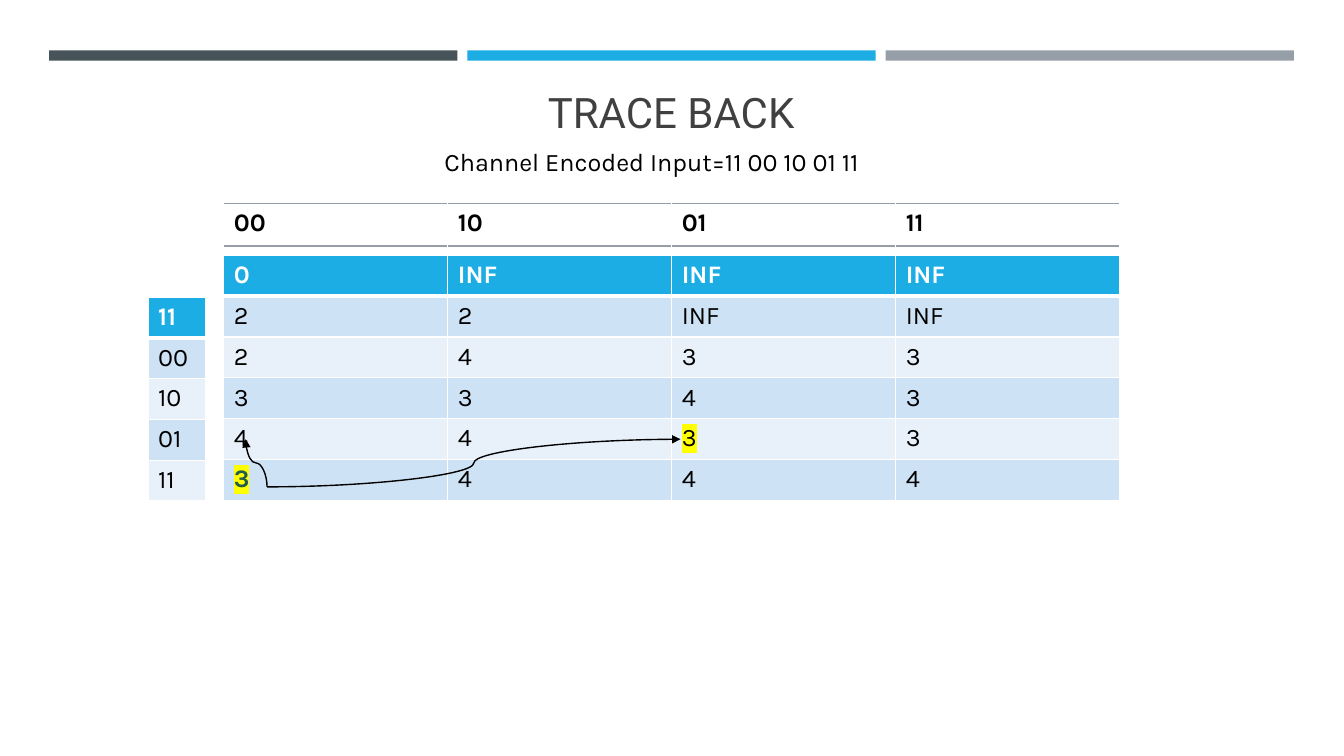
from dataclasses import dataclass

from pptx import Presentation
from pptx import util as u
from pptx.dml.color import RGBColor
from pptx.enum import shapes, text
from pptx.oxml import ns, xmlchemy


@dataclass(frozen=True)
class Theme:
    slate: str = "465359"
    blue: str = "1CADE4"
    gray: str = "969FA7"
    title: str = "404040"
    ink: str = "000000"
    white: str = "FFFFFF"
    bands: tuple = ("E8F1FA", "CDE3F5")
    green: str = "215D4C"
    highlight: str = "FFFF00"
    heading_font: str = "Roboto"
    body_font: str = "Karla"
    heading_size: int = 30
    body_size: int = 18


@dataclass(frozen=True)
class Box:
    left: float
    top: float
    width: float
    height: float

    def lengths(self):
        return [u.Cm(n) for n in (self.left, self.top, self.width, self.height)]


THEME = Theme()
STATES = ["00", "10", "01", "11"]
INPUTS = ["11", "00", "10", "01", "11"]
METRICS = [
    ["0", "INF", "INF", "INF"],
    ["2", "2", "INF", "INF"],
    ["2", "4", "3", "3"],
    ["3", "3", "4", "3"],
    ["4", "4", "3", "3"],
    ["3", "4", "4", "4"],
]


def xml_element(tag, **attributes):
    element = xmlchemy.OxmlElement(tag)
    for name, value in attributes.items():
        element.set(name, str(value))
    return element


def add_run(paragraph, words, color, size=THEME.body_size, font=THEME.body_font,
            bold=False, highlight=None):
    run = paragraph.add_run()
    run.text = words
    run.font.size = u.Pt(size)
    run.font.bold = bold
    run.font.color.rgb = RGBColor.from_string(color)
    run.font.name = font
    if highlight:
        marker = xml_element("a:highlight")
        marker.append(xml_element("a:srgbClr", val=highlight))
        run.font.fill
        run._r.rPr.find(ns.qn("a:solidFill")).addnext(marker)


def set_borders(cell, color, **widths):
    properties = cell._tc.get_or_add_tcPr()
    sides = [side for side in "LRTB" if side in widths]
    for index, side in enumerate(sides):
        line = xml_element(f"a:ln{side}", w=u.Pt(widths[side]))
        fill = xml_element("a:solidFill")
        fill.append(xml_element("a:srgbClr", val=color))
        line.append(fill)
        properties.insert(index, line)


def add_grid(slide, box, row_count, column_count):
    table = slide.shapes.add_table(row_count, column_count, *box.lengths()).table
    table.first_row = False
    table.horz_banding = False
    for row in table.rows:
        row.height = u.Cm(box.height / row_count)
    for column in table.columns:
        column.width = u.Cm(box.width / column_count)
    return table


def draw_bars(slide, box):
    gap = 0.25
    width = (box.width - 2 * gap) / 3
    for index, color in enumerate((THEME.slate, THEME.blue, THEME.gray)):
        place = Box(box.left + index * (width + gap), box.top, width, box.height)
        bar = slide.shapes.add_shape(shapes.MSO_SHAPE.RECTANGLE, *place.lengths())
        bar.shadow.inherit = False
        bar.fill.solid()
        bar.fill.fore_color.rgb = RGBColor.from_string(color)
        bar.line.fill.background()


def draw_title(slide, box):
    frame = slide.shapes.add_textbox(*box.lengths()).text_frame
    frame.word_wrap = True
    frame.vertical_anchor = text.MSO_ANCHOR.MIDDLE
    paragraph = frame.paragraphs[0]
    paragraph.alignment = text.PP_ALIGN.CENTER
    add_run(paragraph, "TRACE BACK", THEME.title, THEME.heading_size, THEME.heading_font)


def draw_caption(slide, box):
    frame = slide.shapes.add_textbox(*box.lengths()).text_frame
    frame.word_wrap = False
    frame.auto_size = text.MSO_AUTO_SIZE.SHAPE_TO_FIT_TEXT
    add_run(frame.paragraphs[0], "Channel Encoded Input=11 00 10 01 11", THEME.ink)


def draw_state_header(slide, box):
    table = add_grid(slide, box, 1, len(STATES))
    for column, state in enumerate(STATES):
        cell = table.cell(0, column)
        cell.fill.background()
        set_borders(cell, THEME.gray, T=1, B=1)
        add_run(cell.text_frame.paragraphs[0], state, THEME.ink, bold=True)


def draw_banded_table(slide, box, rows, marks):
    table = add_grid(slide, box, len(rows), len(rows[0]))
    for row, values in enumerate(rows):
        heading = row == 0
        for column, value in enumerate(values):
            cell = table.cell(row, column)
            cell.fill.solid()
            fill = THEME.blue if heading else THEME.bands[row % 2]
            cell.fill.fore_color.rgb = RGBColor.from_string(fill)
            set_borders(cell, THEME.white, L=1, R=1,
                        T=3 if row == 1 else 1, B=3 if heading else 1)
            style = {"color": THEME.white if heading else THEME.ink, "bold": heading}
            style.update(marks.get((row, column), {}))
            add_run(cell.text_frame.paragraphs[0], value, **style)


def add_curve(slide, start, end, upright=False):
    if upright:
        middle_x, middle_y = (start[0] + end[0]) / 2, (start[1] + end[1]) / 2
        half_run, half_rise = abs(end[1] - start[1]) / 2, abs(end[0] - start[0]) / 2
        start = (middle_x - half_run, middle_y + half_rise)
        end = (middle_x + half_run, middle_y - half_rise)
    curve = slide.shapes.add_connector(
        shapes.MSO_CONNECTOR.CURVE, *[u.Cm(n) for n in (*start, *end)])
    curve.line.width = u.Pt(1)
    curve.line.color.rgb = RGBColor.from_string(THEME.ink)
    properties = curve._element.spPr
    if upright:
        properties.find(ns.qn("a:xfrm")).set("rot", str(270 * 60000))
    properties.find(ns.qn("a:ln")).append(xml_element("a:tailEnd", type="triangle"))
    properties.append(xml_element("a:effectLst"))


def draw_trace_arrows(slide, box):
    start = (box.left + 1.09, box.top + 5.84)
    tip_y = box.top + 4.64
    add_curve(slide, start, (box.left + 0.55, tip_y), upright=True)
    add_curve(slide, start, (box.left + 11.51, tip_y))


def draw_trace_back_slide(presentation):
    slide = presentation.slides.add_slide(presentation.slide_layouts[6])
    metrics_box = Box(5.64, 6.43, 22.58, 6.18)
    marks = {
        (4, 2): {"highlight": THEME.highlight},
        (5, 0): {"highlight": THEME.highlight, "color": THEME.green, "bold": True},
    }
    draw_bars(slide, Box(1.24, 1.27, 31.37, 0.26))
    draw_title(slide, Box(1.6, 2.03, 30.63, 1.55))
    draw_banded_table(slide, metrics_box, METRICS, marks)
    draw_banded_table(slide, Box(3.73, 7.49, 1.45, 5.13), [[code] for code in INPUTS], {})
    draw_state_header(slide, Box(5.64, 5.13, 22.58, 1.07))
    draw_caption(slide, Box(10.95, 3.56, 11.51, 1.02))
    draw_trace_arrows(slide, metrics_box)


def main():
    presentation = Presentation()
    presentation.slide_width = u.Cm(33.87)
    presentation.slide_height = u.Cm(19.05)
    draw_trace_back_slide(presentation)
    presentation.save("out.pptx")


if __name__ == "__main__":
    main()
